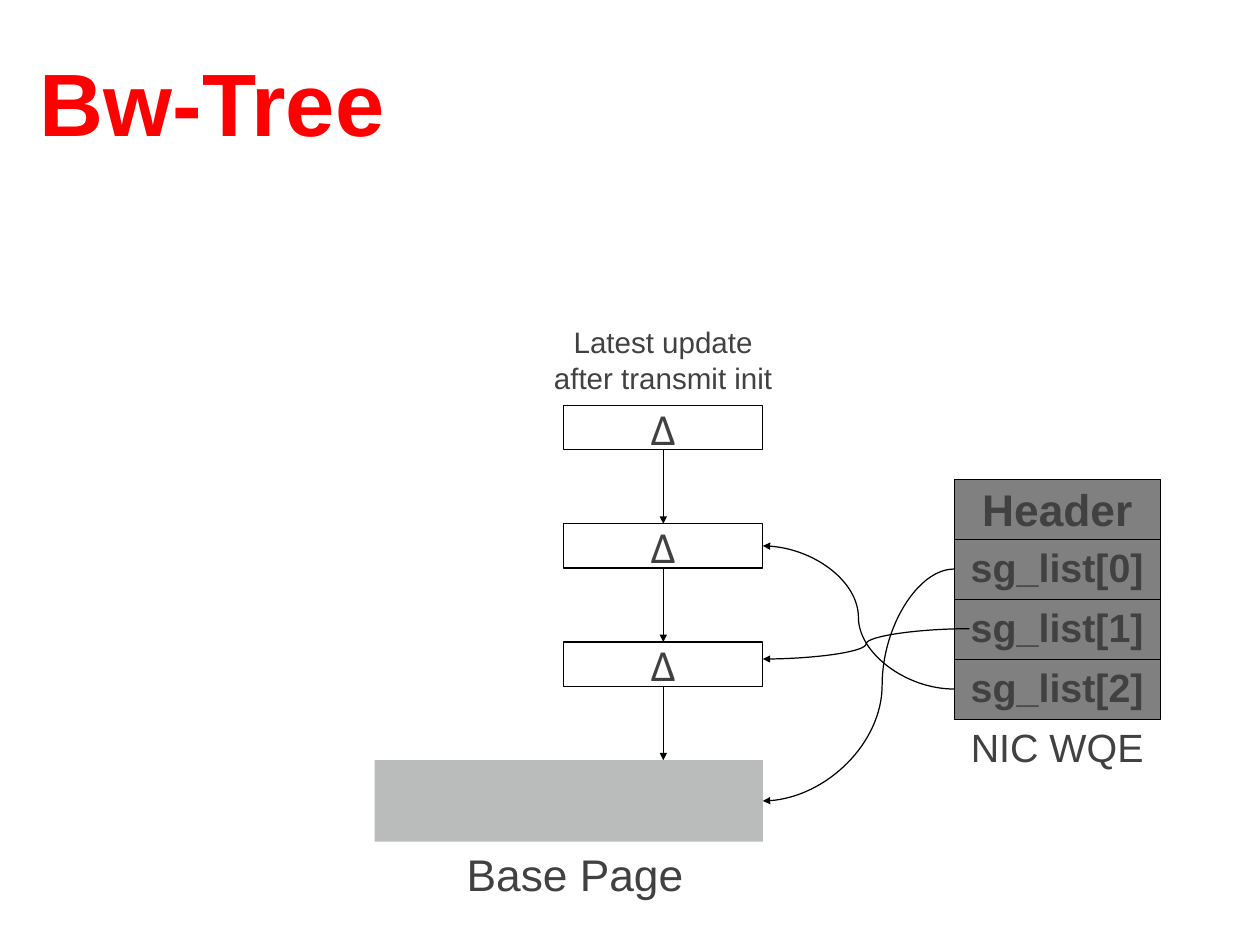
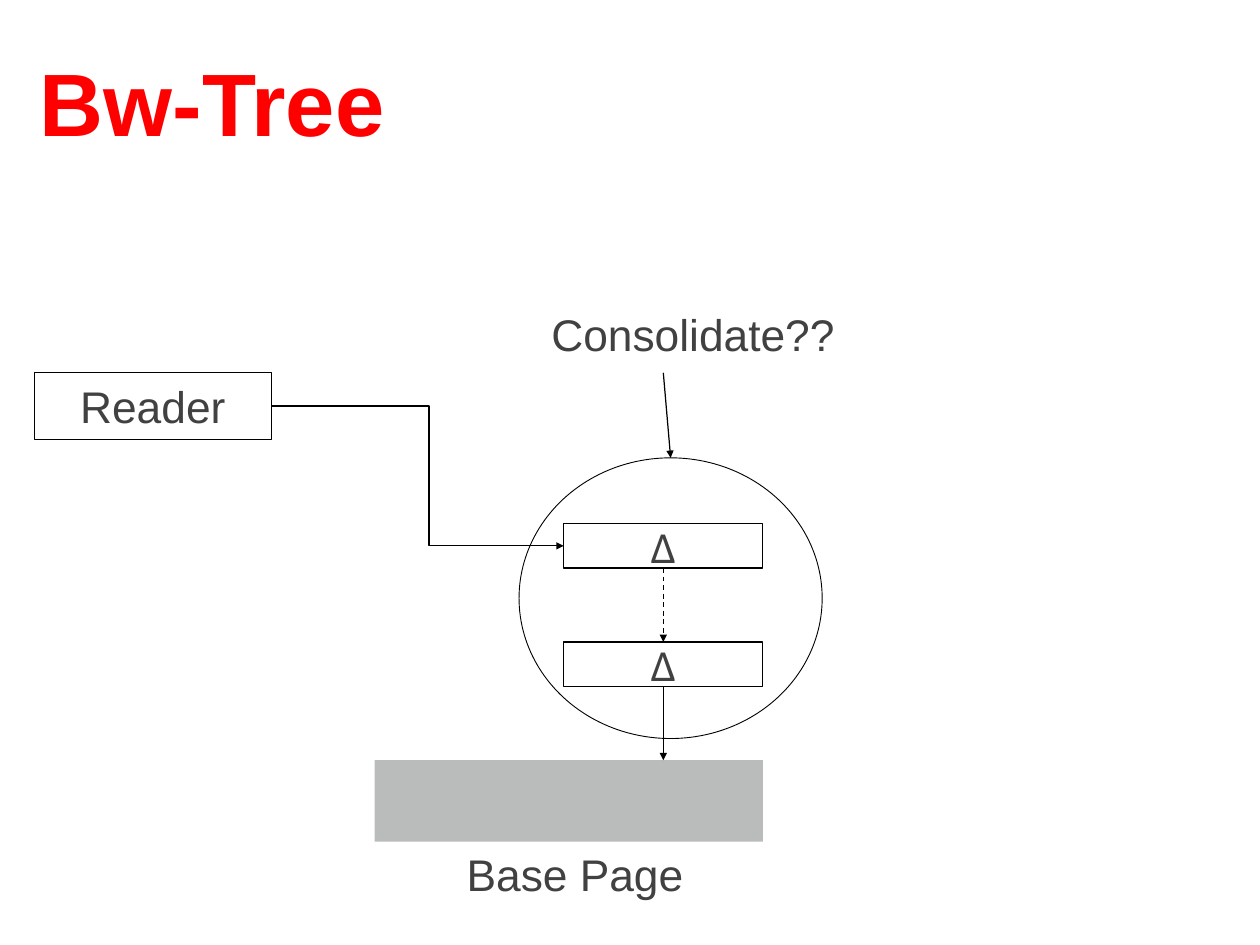
from lxml import etree
from pptx import Presentation
from pptx.dml.color import RGBColor
from pptx.enum.dml import MSO_LINE
from pptx.enum.shapes import MSO_CONNECTOR, MSO_SHAPE
from pptx.enum.text import MSO_ANCHOR, PP_ALIGN
from pptx.oxml.ns import qn
from pptx.util import Cm, Pt

RED = RGBColor(0xFF, 0x00, 0x00)
BLACK = RGBColor(0x00, 0x00, 0x00)
WHITE = RGBColor(0xFF, 0xFF, 0xFF)
TEXT_GRAY = RGBColor(0x41, 0x41, 0x41)
CELL_GRAY = RGBColor(0x80, 0x80, 0x80)
BASE_GRAY = RGBColor(0xBA, 0xBC, 0xBC)

RECTANGLE, ELLIPSE = MSO_SHAPE.RECTANGLE, MSO_SHAPE.OVAL
STRAIGHT, BENT, CURVED = MSO_CONNECTOR.STRAIGHT, MSO_CONNECTOR.ELBOW, MSO_CONNECTOR.CURVE
TOP, MIDDLE, BOTTOM = MSO_ANCHOR.TOP, MSO_ANCHOR.MIDDLE, MSO_ANCHOR.BOTTOM
LEFT, CENTER = PP_ALIGN.LEFT, PP_ALIGN.CENTER
DASH = MSO_LINE.DASH
TOP_SIDE, LEFT_SIDE, BOTTOM_SIDE, RIGHT_SIDE = range(4)

BODY_FONT, DELTA_FONT = "Arial", "Calibri"
BASE_TOP = 21.8
DELTA_LEFT, DELTA_WIDTH, DELTA_HEIGHT, DELTA_PITCH = 16.16, 5.71, 1.27, 3.39
DELTA_CENTER = DELTA_LEFT + DELTA_WIDTH / 2
DELTA_RIGHT = DELTA_LEFT + DELTA_WIDTH
CELL_LEFT, CELL_TOP, CELL_WIDTH, CELL_HEIGHT = 27.35, 13.74, 5.92, 1.72


def write(shape, text, size, font=BODY_FONT, color=TEXT_GRAY, bold=False,
          align=CENTER, anchor=MIDDLE):
    frame = shape.text_frame
    frame.word_wrap = True
    frame.vertical_anchor = anchor
    frame.text = text
    paragraph = frame.paragraphs[0]
    paragraph.alignment = align
    style = paragraph.runs[0].font
    style.name, style.size, style.bold = font, Pt(size), bold
    style.color.rgb = color


def add_label(page, text, left, top, width, height, size, **style):
    label = page.shapes.add_textbox(Cm(left), Cm(top), Cm(width), Cm(height))
    write(label, text, size, **{"anchor": TOP, **style})
    return label


def add_box(page, left, top, width, height, fill=None, line=None, kind=RECTANGLE):
    box = page.shapes.add_shape(kind, Cm(left), Cm(top), Cm(width), Cm(height))
    box.shadow.inherit = False
    if fill is None:
        box.fill.background()
    else:
        box.fill.solid()
        box.fill.fore_color.rgb = fill
    if line is None:
        box.line.fill.background()
    else:
        box.line.color.rgb = BLACK
        box.line.width = Pt(line)
    return box


def add_arrow(page, start, end, kind=STRAIGHT, bend=None, dash=None):
    """Each end is either an (x, y) point in cm or a (shape, side) pair."""
    start_joined, end_joined = (not isinstance(place[0], (int, float)) for place in (start, end))
    start_point = (0, 0) if start_joined else start
    end_point = (0, 0) if end_joined else end
    arrow = page.shapes.add_connector(kind, *map(Cm, start_point + end_point))
    if start_joined:
        arrow.begin_connect(*start)
    if end_joined:
        arrow.end_connect(*end)
    arrow.line.color.rgb = BLACK
    arrow.line.width = Pt(1)
    if dash is not None:
        arrow.line.dash_style = dash
    properties = arrow._element.spPr
    etree.SubElement(properties.find(qn("a:ln")), qn("a:tailEnd"), type="triangle")
    etree.SubElement(properties, qn("a:effectLst"))
    if bend is not None:
        adjustments = properties.find(qn("a:prstGeom")).get_or_add_avLst()
        etree.SubElement(adjustments, qn("a:gd"), name="adj1", fmla=f"val {round(bend * 100000)}")
    return arrow


def add_page(deck):
    page = deck.slides.add_slide(deck.slide_layouts[6])
    title = add_label(page, "Bw-Tree", 0.99, 1.07, 34.14, 3.5, 72,
                      color=RED, bold=True, align=LEFT, anchor=BOTTOM)
    frame = title.text_frame
    frame.margin_left = frame.margin_right = Cm(0.15)
    frame.margin_top = frame.margin_bottom = Cm(0.15)
    return page


def add_delta_chain(page, count, first_dash=None):
    base = add_box(page, 10.74, BASE_TOP, DELTA_RIGHT - 10.74, 2.34, BASE_GRAY)
    add_label(page, "Base Page", 13.03, 24.16, 6.91, 1.8, 36)
    deltas = []
    for steps in range(count, 0, -1):
        delta = add_box(page, DELTA_LEFT, BASE_TOP - steps * DELTA_PITCH,
                        DELTA_WIDTH, DELTA_HEIGHT, WHITE, 1)
        write(delta, "Δ", 36, DELTA_FONT)
        deltas.append(delta)
    for index, (upper, lower) in enumerate(zip(deltas, deltas[1:])):
        add_arrow(page, (upper, BOTTOM_SIDE), (lower, TOP_SIDE),
                  dash=first_dash if index == 0 else None)
    add_arrow(page, (deltas[-1], BOTTOM_SIDE), (DELTA_CENTER, BASE_TOP))
    return deltas, base


def add_work_queue_entry(page):
    names = ["Header", "sg_list[0]", "sg_list[1]", "sg_list[2]"]
    cells = []
    for row, name in enumerate(names):
        cell = add_box(page, CELL_LEFT, CELL_TOP + row * CELL_HEIGHT,
                       CELL_WIDTH, CELL_HEIGHT, CELL_GRAY, 0.75)
        if row == 0:
            write(cell, name, 36, bold=True)
        else:
            write(cell, name, 32, bold=True, anchor=TOP)
        cells.append(cell)
    add_label(page, "NIC WQE", CELL_LEFT, CELL_TOP + len(names) * CELL_HEIGHT,
              CELL_WIDTH, CELL_HEIGHT, 32)
    return cells[1:]


def build_transmit_page(deck):
    page = add_page(deck)
    deltas, base = add_delta_chain(page, 3)
    entries = add_work_queue_entry(page)
    add_arrow(page, (entries[0], LEFT_SIDE), (base, RIGHT_SIDE), CURVED, 0.376)
    add_arrow(page, (27.79, 18.03), (DELTA_RIGHT, 18.9), CURVED, 0.5)
    add_arrow(page, (entries[2], LEFT_SIDE), (deltas[1], RIGHT_SIDE), CURVED, 0.5)
    add_label(page, "Latest update after transmit init", 15.52, 9.17, 6.98, 2.31, 24)


def build_consolidate_page(deck):
    page = add_page(deck)
    reader = add_box(page, 0.99, 10.69, 6.78, 1.91, line=0.75)
    write(reader, "Reader", 36)
    deltas, _ = add_delta_chain(page, 2, DASH)
    add_arrow(page, (reader, RIGHT_SIDE), (deltas[0], LEFT_SIDE), BENT, 0.54)
    circle = add_box(page, 14.88, 13.13, 8.69, 8.05, line=0.75, kind=ELLIPSE)
    add_arrow(page, (DELTA_CENTER, 10.69), (circle, TOP_SIDE))
    add_label(page, "Consolidate??", 15.32, 8.69, 9.09, 1.8, 36)


def main():
    deck = Presentation()
    deck.slide_width, deck.slide_height = Cm(36.12), Cm(27.1)
    build_transmit_page(deck)
    build_consolidate_page(deck)
    deck.save("out.pptx")


if __name__ == "__main__":
    main()
